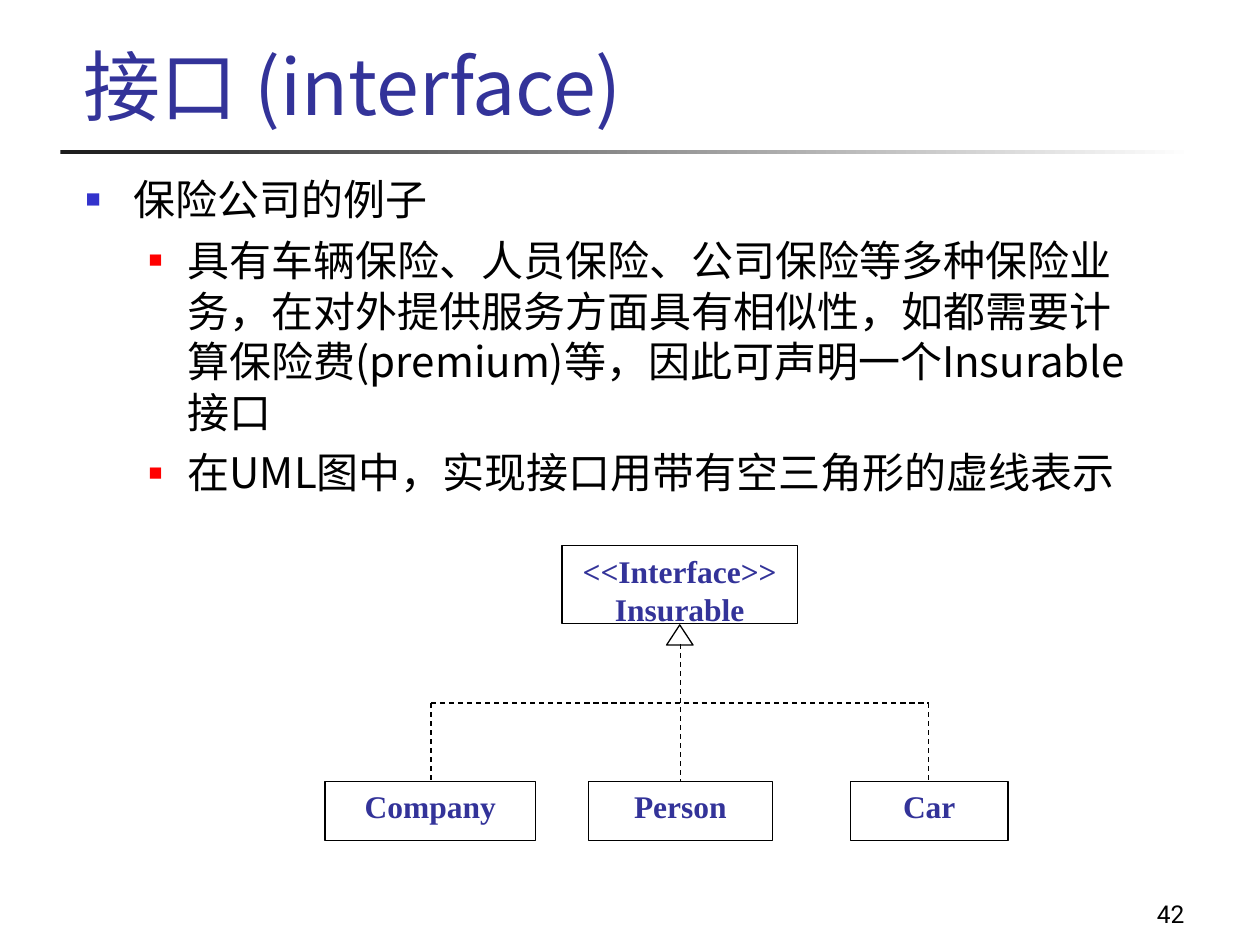
from lxml import etree
from pptx import Presentation
from pptx.dml.color import RGBColor
from pptx.enum.dml import MSO_LINE
from pptx.enum.lang import MSO_LANGUAGE_ID
from pptx.enum.shapes import MSO_CONNECTOR, MSO_SHAPE
from pptx.enum.text import MSO_ANCHOR, MSO_AUTO_SIZE, PP_ALIGN
from pptx.oxml.ns import qn
from pptx.util import Pt

PX = 9144
BLACK = RGBColor(0x00, 0x00, 0x00)
WHITE = RGBColor(0xFF, 0xFF, 0xFF)
DARK = RGBColor(0x1C, 0x1C, 0x1C)
NAVY = RGBColor(0x33, 0x33, 0x99)
BLUE = RGBColor(0x33, 0x33, 0xCC)
RED = RGBColor(0xFF, 0x00, 0x00)
SANS, SERIF, PLAIN = "Noto Sans CJK JP", "Times New Roman", "Roboto"
LEFT, CENTER, RIGHT = PP_ALIGN.LEFT, PP_ALIGN.CENTER, PP_ALIGN.RIGHT
TOP, BOTTOM = MSO_ANCHOR.TOP, MSO_ANCHOR.BOTTOM
RECT, TRI = MSO_SHAPE.RECTANGLE, MSO_SHAPE.ISOSCELES_TRIANGLE
STRAIGHT, DASH, NONE = MSO_CONNECTOR.STRAIGHT, MSO_LINE.DASH, MSO_AUTO_SIZE.NONE
CHINESE = MSO_LANGUAGE_ID.SIMPLIFIED_CHINESE


def write(frame, lines, size, face, color, bold=False, align=LEFT, anchor=TOP, space=0):
    """Fill a text frame with one paragraph per line and return the paragraphs."""
    frame.word_wrap, frame.auto_size, frame.vertical_anchor = True, NONE, anchor
    frame.text = "\n".join(lines)
    for para in frame.paragraphs:
        para.alignment, para.line_spacing = align, 1.0
        para.space_before, para.space_after = Pt(space), Pt(0)
        for run in para.runs:
            font = run.font
            font.name, font.size, font.bold = face, Pt(size), bold
            font.color.rgb = color
            if face == SANS:
                font.language_id = CHINESE
                east = etree.Element(qn("a:ea"), typeface=face)
                font._element.find(qn("a:latin")).addnext(east)
    return frame.paragraphs


class Deck:
    """Hold the style and the current slide."""

    def __init__(self):
        """Start a deck with one title and content slide."""
        self.prs = Presentation()
        self.prs.slide_width, self.prs.slide_height = 1000 * PX, 750 * PX
        self.slide = self.prs.slides.add_slide(self.prs.slide_layouts[1])
        self.shapes = self.slide.shapes

    def place(self, shape, box):
        """Move a shape to a box given in px."""
        shape.left, shape.top, shape.width, shape.height = (v * PX for v in box)

    def title(self, text, box):
        """Fill the title placeholder."""
        self.place(self.shapes.title, box)
        write(self.shapes.title.text_frame, [text], 44, SANS, NAVY, anchor=BOTTOM)

    def body(self, items, box):
        """Fill the body placeholder with (level, text) items."""
        shape = self.slide.placeholders[1]
        self.place(shape, box)
        paras = write(shape.text_frame, [text for _, text in items], 24, SANS, BLACK, space=6)
        looks = [(38, 38, BLUE, 60), (81, 31, RED, 55)]
        for para, (level, _) in zip(paras, items):
            margin, hang, color, size = looks[level]
            para.level = level
            props = para._p.get_or_add_pPr()
            props.set("marL", str(margin * PX))
            props.set("indent", str(-hang * PX))
            tint = etree.SubElement(props, qn("a:buClr"))
            etree.SubElement(tint, qn("a:srgbClr"), val=str(color))
            etree.SubElement(props, qn("a:buSzPct"), val=str(size * 1000))
            etree.SubElement(props, qn("a:buChar"), char="■")

    def rule(self, box):
        """Draw a bar that fades from dark to white."""
        bar = self.shapes.add_shape(RECT, *(v * PX for v in box))
        bar.shadow.inherit = False
        bar.line.fill.background()
        bar.fill.gradient()
        bar.fill.gradient_angle = 0
        for stop, color, spot in zip(bar.fill.gradient_stops, (DARK, WHITE), (0, 1)):
            stop.color.rgb, stop.position = color, spot

    def shape(self, kind, box, lines=()):
        """Draw an outlined shape with optional centred text."""
        shape = self.shapes.add_shape(kind, *(v * PX for v in box))
        shape.shadow.inherit = False
        shape.fill.background()
        shape.line.color.rgb, shape.line.width = BLACK, Pt(0.75)
        if lines:
            write(shape.text_frame, lines, 18, SERIF, NAVY, bold=True, align=CENTER)

    def dash(self, *ends):
        """Draw a dashed line from x, y to x, y."""
        line = self.shapes.add_connector(STRAIGHT, *(v * PX for v in ends))
        line.line.color.rgb, line.line.width = BLACK, Pt(0.75)
        line.line.dash_style = DASH
        etree.SubElement(line._element.spPr, qn("a:effectLst"))

    def number(self, text, box):
        """Write the page number."""
        label = self.shapes.add_textbox(*(v * PX for v in box))
        write(label.text_frame, [text], 14, PLAIN, BLACK, align=RIGHT, anchor=BOTTOM)


def main():
    """Build the slide and save it."""
    deck = Deck()
    deck.rule((48, 119, 900, 3))
    deck.number("42", (742, 692, 208, 50))
    deck.title("接口 (interface)", (56, 17, 852, 92))
    deck.body([
        (0, "保险公司的例子"),
        (1, "具有车辆保险、人员保险、公司保险等多种保险业务，在对外提供服务方面具有相似性，"
            "如都需要计算保险费(premium)等，因此可声明一个Insurable 接口"),
        (1, "在UML图中，实现接口用带有空三角形的虚线表示"),
    ], (58, 133, 850, 320))

    mid, bus, row = 540, 558, 620
    deck.shape(RECT, (446, 433, 187, 62), ["<<Interface>>", "Insurable"])
    for name, left, width in (("Company", 258, 167), ("Person", 467, 146), ("Car", 675, 125)):
        deck.shape(RECT, (left, row, width, 47), [name])
    deck.shape(TRI, (529, 496, 21, 16))
    deck.dash(mid, 511, mid, row)
    ends = (342, 737)
    deck.dash(ends[0], bus, ends[1], bus)
    for x in ends:
        deck.dash(x, bus, x, row)
    deck.prs.save("out.pptx")


if __name__ == "__main__":
    main()
